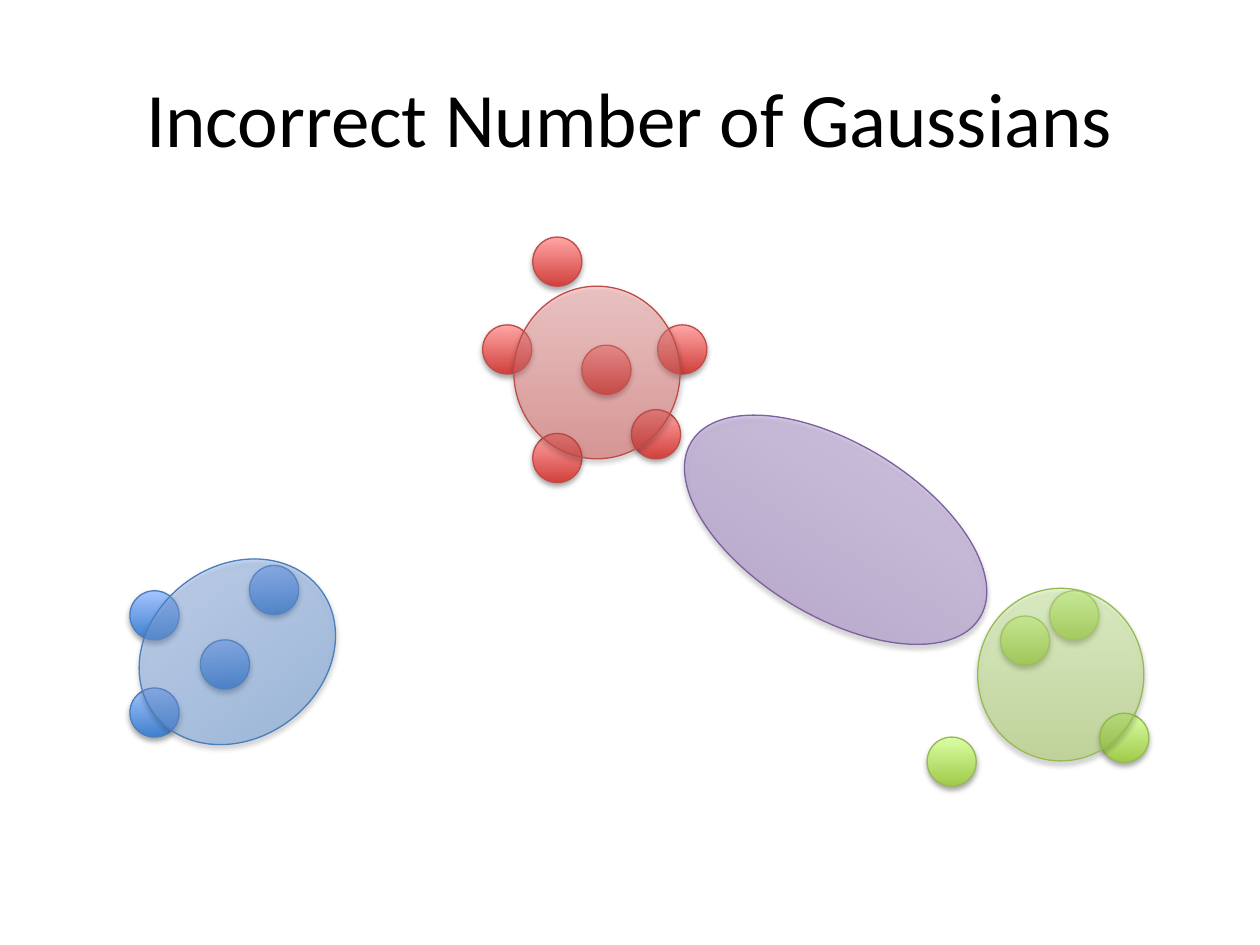
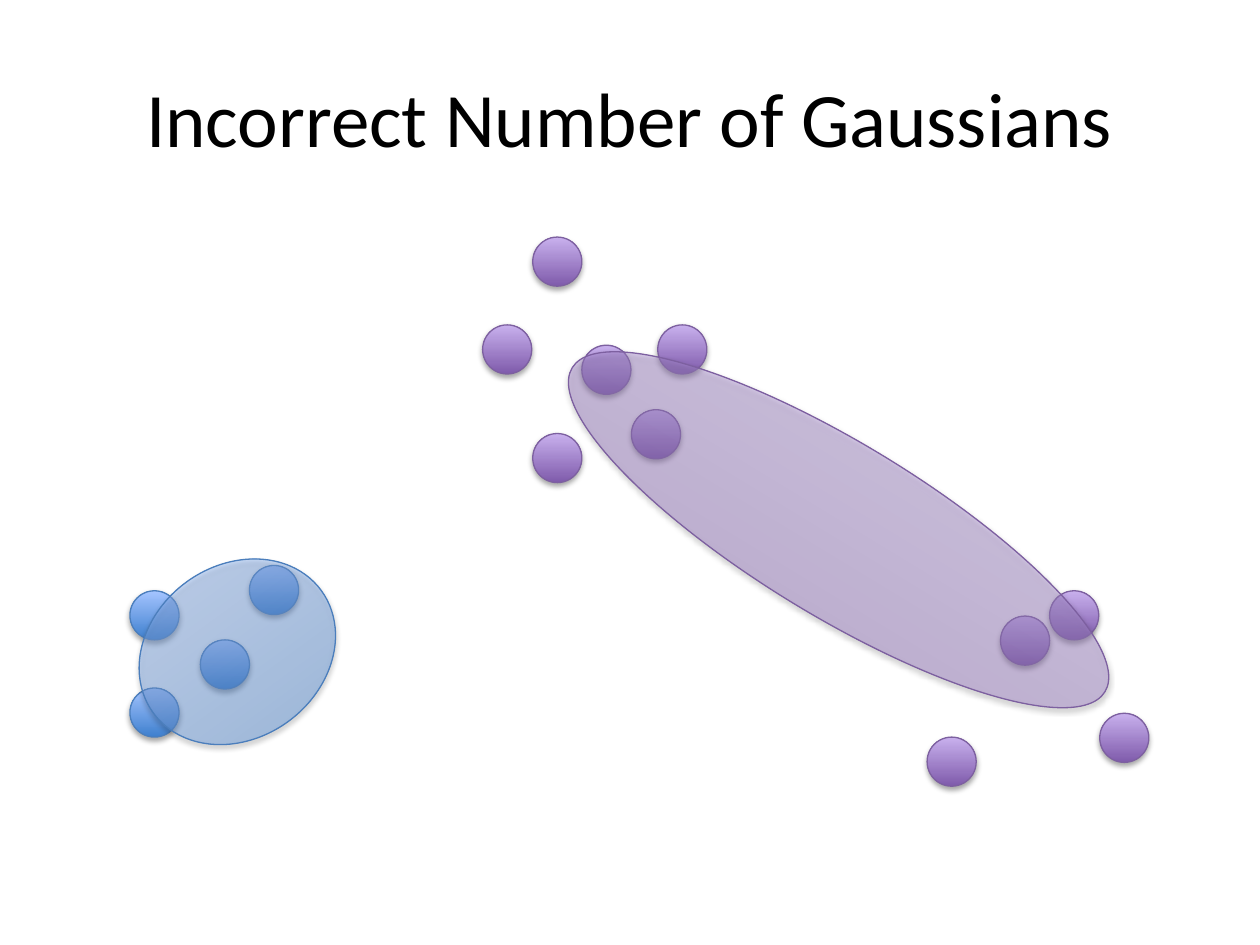
"""Builds two slides that show clusters fitted with the wrong number of Gaussians."""
import lxml.etree
import pptx
import pptx.dml.color
import pptx.enum.shapes
import pptx.enum.text
import pptx.oxml.ns
import pptx.util

Cm = pptx.util.Cm
qn = pptx.oxml.ns.qn

TITLE = "Incorrect Number of Gaussians"
FONT = "Calibri"
DOT_SIZE = 0.99
GAUSSIAN_HEIGHT = 3.48
GAUSSIAN_OPACITY = 43
SHADOW_OPACITY = 35

PALETTES = {
    "blue": ("3F80CE", "A4C4FF", "4B7EBC"),
    "red": ("D1403C", "FFA6A5", "BF4C48"),
    "green": ("A0CA4A", "DAFFA5", "98B955"),
    "purple": ("7F5BAB", "C8B0ED", "7D60A0"),
}

LEFT_DOTS = [(2.62, 11.91), (2.62, 13.87), (4.04, 12.9), (5.03, 11.4)]
TOP_DOTS = [(10.74, 4.78), (9.73, 6.55), (11.73, 6.96),
            (10.74, 8.74), (13.26, 6.55), (12.73, 8.26)]
RIGHT_DOTS = [(21.16, 11.91), (20.17, 12.42), (18.69, 14.86), (22.17, 14.38)]

LEFT_GAUSSIAN = ("blue", 2.69, 11.4, 4.19, 323.9)
SLIDES = [
    {
        "dots": [("blue", LEFT_DOTS), ("red", TOP_DOTS), ("green", RIGHT_DOTS)],
        "gaussians": [
            ("red", 10.36, 5.77, 3.35, 0),
            LEFT_GAUSSIAN,
            ("green", 19.71, 11.86, 3.35, 0),
            ("purple", 13.44, 8.94, 6.81, 31.3),
        ],
    },
    {
        "dots": [("blue", LEFT_DOTS), ("purple", TOP_DOTS + RIGHT_DOTS)],
        "gaussians": [LEFT_GAUSSIAN, ("purple", 10.62, 8.94, 12.57, 31.3)],
    },
]


def rgb(value):
    return pptx.dml.color.RGBColor.from_string(value)


def add_ellipse(page, palette, left, top, width, height, rotation=0, opacity=100):
    bottom_color, top_color, line_color = PALETTES[palette]
    ellipse = page.shapes.add_shape(
        pptx.enum.shapes.MSO_SHAPE.OVAL, Cm(left), Cm(top), Cm(width), Cm(height))
    ellipse.rotation = rotation
    ellipse.line.color.rgb = rgb(line_color)
    ellipse.line.width = pptx.util.Pt(0.75)
    ellipse.fill.gradient()
    ellipse.fill.gradient_angle = 90
    for stop, position, color in zip(ellipse.fill.gradient_stops, (0, 1), (bottom_color, top_color)):
        stop.position = position
        stop.color.rgb = rgb(color)
    if opacity < 100:
        for color in ellipse.element.spPr.findall(".//" + qn("a:gs") + "/" + qn("a:srgbClr")):
            lxml.etree.SubElement(color, qn("a:alpha"), val=str(opacity * 1000))
    ellipse.shadow.inherit = False
    effects = ellipse.element.spPr.find(qn("a:effectLst"))
    shadow = lxml.etree.SubElement(
        effects, qn("a:outerShdw"), blurRad=str(pptx.util.Pt(3.1)),
        dist=str(pptx.util.Pt(1.8)), dir="5400000", rotWithShape="0")
    shade = lxml.etree.SubElement(shadow, qn("a:srgbClr"), val="000000")
    lxml.etree.SubElement(shade, qn("a:alpha"), val=str(SHADOW_OPACITY * 1000))


deck = pptx.Presentation()
deck.slide_width = Cm(25.4)
deck.slide_height = Cm(19.05)

for content in SLIDES:
    page = deck.slides.add_slide(deck.slide_layouts[6])

    box = page.shapes.add_textbox(Cm(1.27), Cm(0.76), Cm(22.86), Cm(3.18))
    box.text_frame.word_wrap = True
    box.text_frame.vertical_anchor = pptx.enum.text.MSO_ANCHOR.MIDDLE
    para = box.text_frame.paragraphs[0]
    para.alignment = pptx.enum.text.PP_ALIGN.CENTER
    span = para.add_run()
    span.text = TITLE
    span.font.name = FONT
    span.font.size = pptx.util.Pt(44)
    span.font.color.rgb = rgb("000000")

    for palette, dots in content["dots"]:
        for left, top in dots:
            add_ellipse(page, palette, left, top, DOT_SIZE, DOT_SIZE)

    for palette, left, top, width, rotation in content["gaussians"]:
        add_ellipse(page, palette, left, top, width, GAUSSIAN_HEIGHT, rotation, GAUSSIAN_OPACITY)

deck.save("out.pptx")
